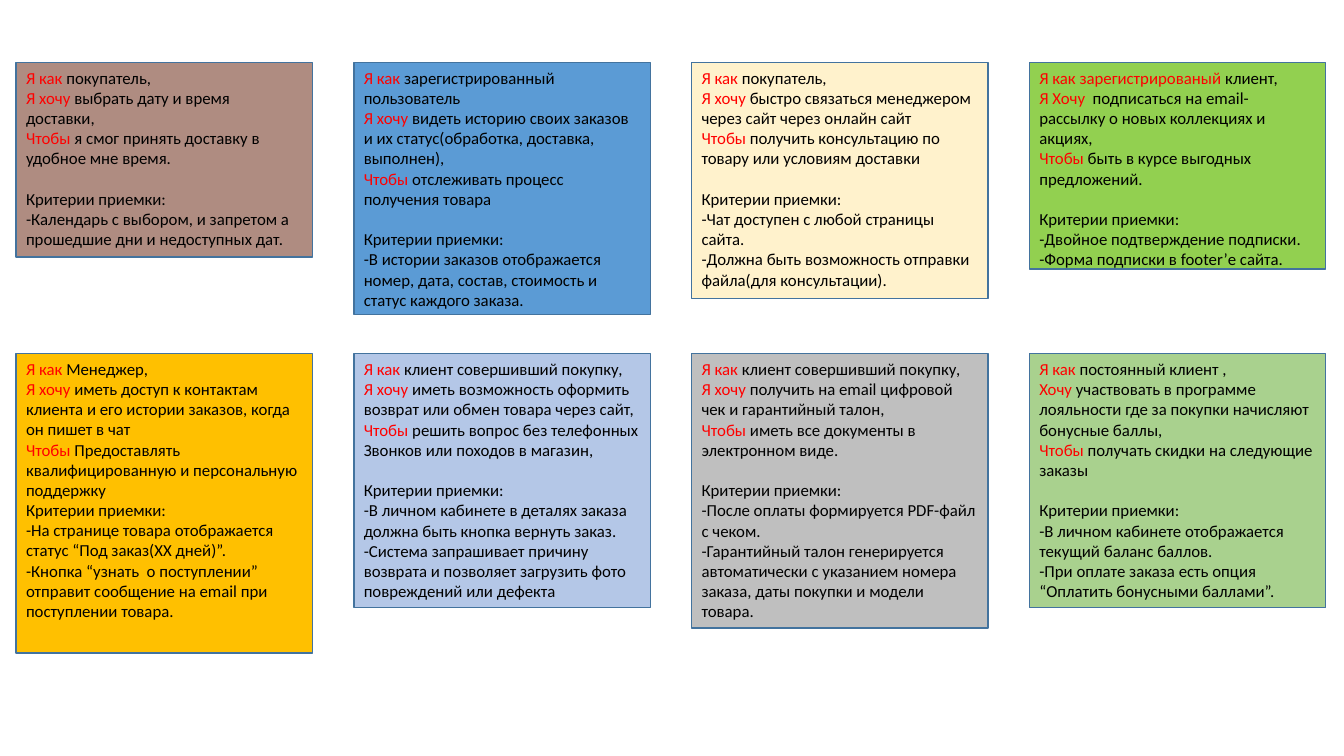
from dataclasses import dataclass

from pptx import Presentation
from pptx.dml.color import RGBColor
from pptx.enum.shapes import MSO_SHAPE
from pptx.enum.text import MSO_ANCHOR, PP_ALIGN
from pptx.slide import Slide
from pptx.text.text import TextFrame
from pptx.util import Inches, Pt

RECTANGLE = MSO_SHAPE.RECTANGLE
TOP = MSO_ANCHOR.TOP
LEFT = PP_ALIGN.LEFT


@dataclass(frozen=True)
class Theme:
    font: str = "Calibri"
    size: float = 12
    blank_line: float = 14.6
    keyword: str = "FF0000"
    text: str = "000000"
    border: str = "43739E"
    border_width: float = 1


@dataclass(frozen=True)
class Grid:
    """Card grid in inches."""
    left: float = 0.16
    top: float = 0.62
    column_step: float = 3.35
    row_step: float = 2.89
    card_width: float = 2.94
    columns: int = 4


@dataclass(frozen=True)
class Story:
    fill: str
    height: float
    wish: list[tuple[str, str]]
    criteria: list[str]
    gap: bool = True


THEME = Theme()
GRID = Grid()
CRITERIA_HEADING = "Критерии приемки:"

STORIES = [
    Story("AF8C81", 1.93, [
        ("Я как ", "покупатель,"),
        ("Я хочу ", "выбрать дату и время доставки,"),
        ("Чтобы", " я смог принять доставку в удобное мне время."),
    ], [
        "-Календарь с выбором, и запретом а прошедшие дни и недоступных дат.",
    ]),
    Story("5B9BD5", 2.5, [
        ("Я как ", "зарегистрированный пользователь"),
        ("Я хочу ", "видеть историю своих заказов и их статус(обработка, доставка, выполнен),"),
        ("Чтобы", " отслеживать процесс получения товара"),
    ], [
        "-В истории заказов отображается номер, дата, состав, стоимость и статус каждого заказа.",
    ]),
    Story("FFF2CC", 2.34, [
        ("Я как ", "покупатель,"),
        ("Я хочу ", "быстро связаться менеджером через сайт через онлайн сайт"),
        ("Чтобы", " получить консультацию по товару или условиям доставки"),
    ], [
        "-Чат доступен с любой страницы сайта.",
        "-Должна быть возможность отправки файла(для консультации).",
    ]),
    Story("92D050", 2.05, [
        ("Я как зарегистрированый ", "клиент,"),
        ("Я Хочу", "  подписаться на email- рассылку о новых коллекциях и акциях,"),
        ("Чтобы", " быть в курсе выгодных предложений."),
    ], [
        "-Двойное подтверждение подписки.",
        "-Форма подписки в footer’е сайта.",
    ]),
    Story("FFC000", 2.97, [
        ("Я как ", "Менеджер,"),
        ("Я хочу ", "иметь доступ к контактам клиента и его истории заказов, когда он пишет в чат"),
        ("Чтобы ", "Предоставлять квалифицированную и персональную поддержку"),
    ], [
        "-На странице товара отображается статус “Под заказ(XX дней)”.",
        "-Кнопка “узнать  о поступлении”",
        "отправит сообщение на email при поступлении товара.",
    ], gap=False),
    Story("B4C7E7", 2.52, [
        ("Я как", " клиент совершивший покупку,"),
        ("Я хочу ", "иметь возможность оформить возврат или обмен товара через сайт,"),
        ("Чтобы", " решить вопрос без телефонных"),
        ("", "Звонков или походов в магазин,"),
    ], [
        "-В личном кабинете в деталях заказа должна быть кнопка вернуть заказ.",
        "-Система запрашивает причину возврата и позволяет загрузить фото повреждений или дефекта",
    ]),
    Story("BFBFBF", 2.72, [
        ("Я как ", "клиент совершивший покупку,"),
        ("Я хочу ", "получить на email цифровой чек и гарантийный талон,"),
        ("Чтобы", " иметь все документы в электронном виде."),
    ], [
        "-После оплаты формируется PDF-файл с чеком.",
        "-Гарантийный талон генерируется автоматически с указанием номера заказа, "
        "даты покупки и модели товара.",
    ]),
    Story("A9D18E", 2.52, [
        ("Я как ", "постоянный клиент ,"),
        ("Хочу", " участвовать в программе лояльности где за покупки начисляют бонусные баллы,"),
        ("Чтобы", " получать скидки на следующие заказы"),
    ], [
        "-В личном кабинете отображается текущий баланс баллов.",
        "-При оплате заказа есть опция “Оплатить бонусными баллами”.",
    ]),
]


def write_line(frame: TextFrame, text: str, *, keyword: str = "",
               space_before: float = 0) -> None:
    """Append a paragraph with an optional highlighted keyword in front."""
    first = frame.paragraphs[0]
    paragraph = frame.add_paragraph() if first.runs else first
    paragraph.alignment = LEFT
    paragraph.space_before = Pt(space_before)
    for words, color in ((keyword, THEME.keyword), (text, THEME.text)):
        if words:
            run = paragraph.add_run()
            run.text = words
            run.font.name = THEME.font
            run.font.size = Pt(THEME.size)
            run.font.color.rgb = RGBColor.from_string(color)


def draw_story(slide: Slide, story: Story, column: int, row: int) -> None:
    card = slide.shapes.add_shape(
        RECTANGLE,
        Inches(GRID.left + column * GRID.column_step),
        Inches(GRID.top + row * GRID.row_step),
        Inches(GRID.card_width), Inches(story.height))
    card.shadow.inherit = False
    card.fill.solid()
    card.fill.fore_color.rgb = RGBColor.from_string(story.fill)
    card.line.color.rgb = RGBColor.from_string(THEME.border)
    card.line.width = Pt(THEME.border_width)

    frame = card.text_frame
    frame.word_wrap = True
    frame.vertical_anchor = TOP
    for keyword, text in story.wish:
        write_line(frame, text, keyword=keyword)
    write_line(frame, CRITERIA_HEADING,
               space_before=THEME.blank_line if story.gap else 0)
    for criterion in story.criteria:
        write_line(frame, criterion)


def main() -> None:
    deck = Presentation()
    deck.slide_width, deck.slide_height = Inches(13.33), Inches(7.5)
    blank_layout = deck.slide_layouts[6]
    slide = deck.slides.add_slide(blank_layout)
    for index, story in enumerate(STORIES):
        row, column = divmod(index, GRID.columns)
        draw_story(slide, story, column, row)
    deck.save("out.pptx")


if __name__ == "__main__":
    main()
